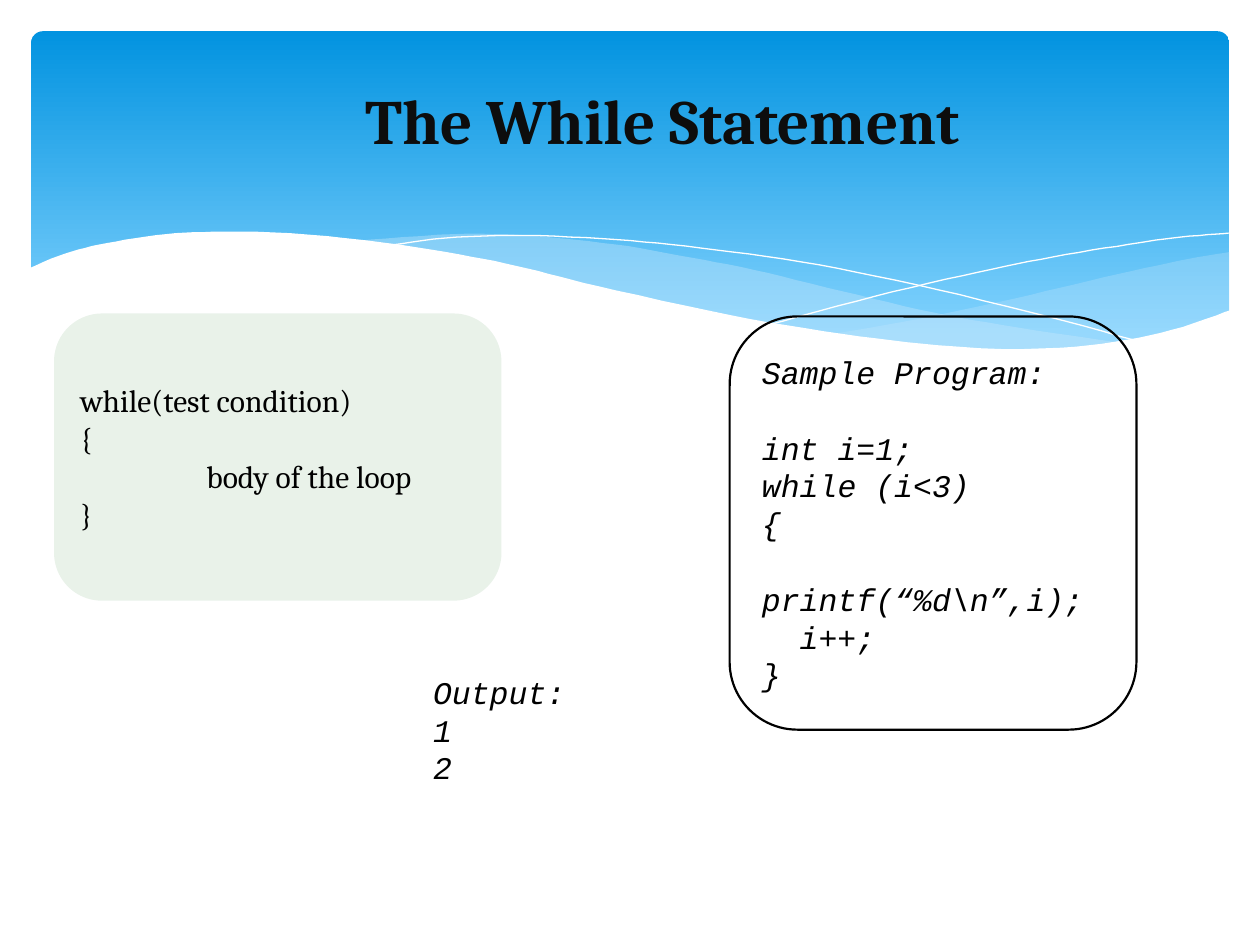
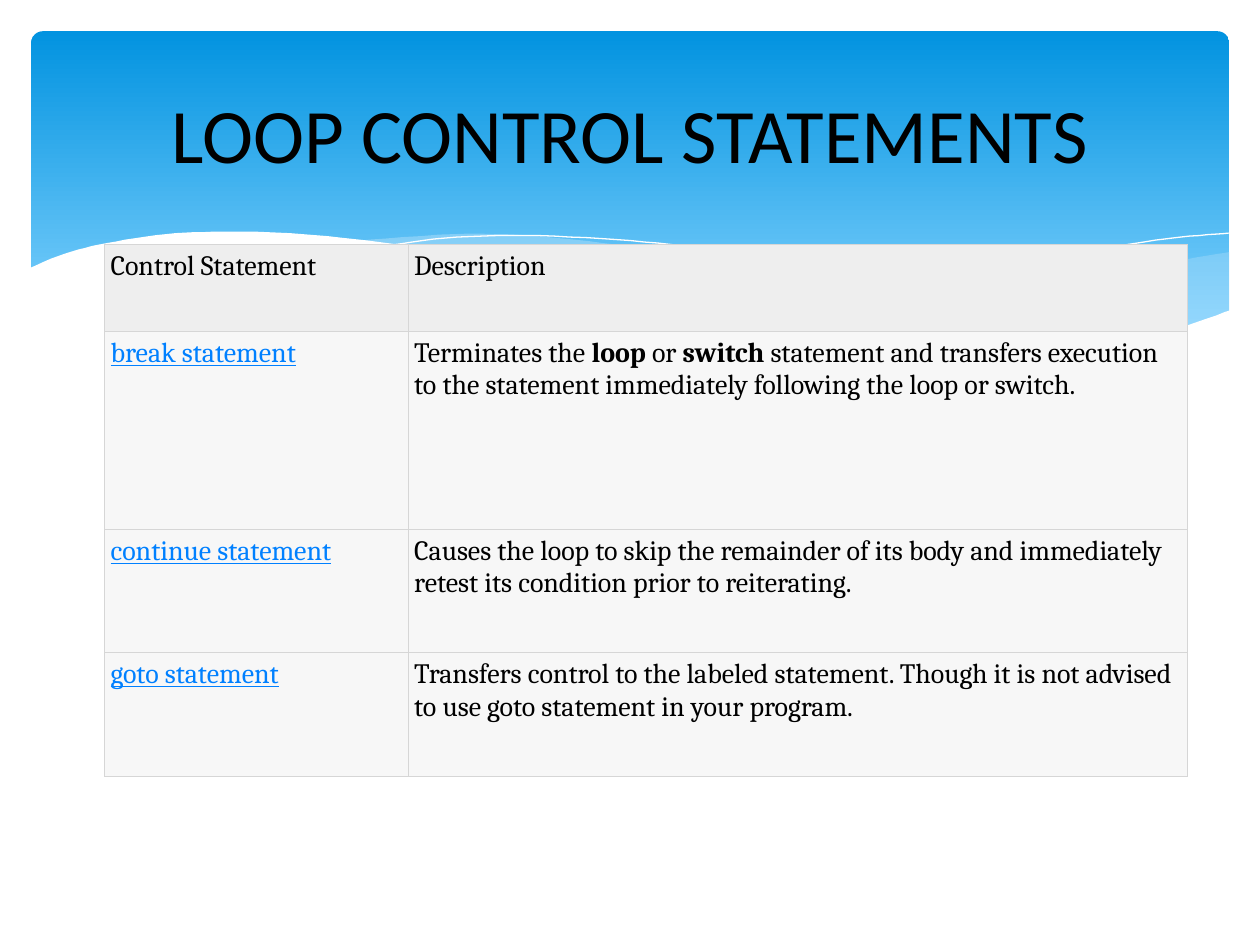
from lxml import etree
from pptx import Presentation
from pptx import util as u
from pptx.dml.color import RGBColor
from pptx.enum import shapes, text
from pptx.oxml.ns import qn

BLACK, WHITE, SKY, PALE = "000000", "FFFFFF", "0293E0", "C6E7FC"
LIGHT_SKY, GREEN, LINK = "83D3FE", "2C8430", "0080FF"
HEADER_FILL, BODY_FILL, BORDER = "EEEEEE", "F7F7F7", "D6D6D6"
SERIF, SANS, MONO = "Cambria", "Calibri", "Courier New"
LINE_HEIGHT = 21.6

# Wave strands are in hundredths of a centimetre.
WAVES = [
    dict(fill=PALE, alpha=29, strands=[
        [(2479, 508), (2375, 526), (2225, 559), (2045, 602), (1852, 643), (1679, 673)],
        [(1679, 673), (1791, 688), (1923, 701), (2040, 706), (2169, 701), (2278, 686),
         (2375, 665), (2479, 627)]]),
    dict(fill=PALE, alpha=40, strands=[
        [(2268, 693), (2050, 660), (1882, 630), (1697, 587), (1519, 544), (1374, 516),
         (1242, 493), (1067, 475), (917, 472), (726, 485)],
        [(726, 485), (869, 505), (1026, 536), (1247, 589), (1438, 630), (1610, 663),
         (1765, 686), (1933, 704), (2103, 706), (2268, 693)]]),
    dict(line=WHITE, strands=[
        [(785, 495), (897, 480), (1057, 475), (1242, 483), (1412, 500), (1615, 528),
         (1847, 574), (2111, 638), (2304, 691)]]),
    dict(line=WHITE, strands=[
        [(1557, 653), (1765, 597), (1971, 549), (2123, 518), (2273, 493), (2380, 478),
         (2477, 470)]]),
    dict(fill=WHITE, strands=[
        [(2482, 625), (2362, 665), (2222, 693), (2055, 704), (1890, 696), (1697, 673),
         (1471, 635), (1206, 577), (1062, 541), (927, 513), (742, 485), (584, 470),
         (450, 467), (335, 472), (216, 490), (132, 511), (58, 541)],
        [(58, 836), (2482, 836)]]),
]

WHILE_TITLE = "The While Statement"
SYNTAX = [("while(test condition)", 0, 0), ("{", 0, 0),
          ("body of the loop", 2.54, 0), ("}", 0, 0)]
PROGRAM = [("Sample Program:", 0, 0), ("int i=1;", 0, LINE_HEIGHT), ("while (i<3)", 0, 0),
           ("{", 0, 0), (r"printf(“%d\n”,i);", 0, LINE_HEIGHT), ("i++;", 0.76, 0), ("}", 0, 0)]
OUTPUT = [("Output:", 0, 0), ("1", 0, 0), ("2", 0, 0)]

CONTROL_TITLE = "LOOP CONTROL STATEMENTS"
CONTROL_ROWS = [
    ("Control Statement", "Description"),
    ("break statement", "Terminates the **loop** or **switch** statement and transfers "
     "execution to the statement immediately following the loop or switch."),
    ("continue statement", "Causes the loop to skip the remainder of its body and "
     "immediately retest its condition prior to reiterating."),
    ("goto statement", "Transfers control to the labeled statement. Though it is not "
     "advised to use goto statement in your program."),
]
COLUMN_WIDTHS = [6.12, 15.7]
ROW_HEIGHTS = [1.75, 3.99, 2.49, 2.49]


def rgb(color):
    return RGBColor.from_string(color)


def box(*lengths):
    return [u.Cm(length) for length in lengths]


def style_run(run, font, size, color=BLACK, bold=False, italic=False, underline=False):
    run.font.name, run.font.size = font, u.Pt(size)
    run.font.color.rgb = rgb(color)
    run.font.bold, run.font.italic, run.font.underline = bold, italic, underline


def paint(shape, fill=None, alpha=100, line=None, width=0):
    shape.shadow.inherit = False
    if fill:
        shape.fill.solid()
        shape.fill.fore_color.rgb = rgb(fill)
        if alpha < 100:
            color = shape.element.find(".//" + qn("a:srgbClr"))
            etree.SubElement(color, qn("a:alpha"), val=str(alpha * 1000))
    else:
        shape.fill.background()
    if line:
        shape.line.color.rgb = rgb(line)
        shape.line.width = u.Pt(width)
    else:
        shape.line.fill.background()


def smooth(points, steps=6):
    padded = [points[0], *points, points[-1]]
    curve = [points[0]]
    for a, b, c, d in zip(padded, padded[1:], padded[2:], padded[3:]):
        for step in range(1, steps + 1):
            t = step / steps
            curve.append(tuple(
                q + t * (r - p) / 2 + t * t * (p - 2.5 * q + 2 * r - s / 2)
                + t ** 3 * (1.5 * (q - r) + (s - p) / 2)
                for p, q, r, s in zip(a, b, c, d)))
    return curve


def add_backdrop(slide, layout):
    band = slide.shapes.add_shape(shapes.MSO_SHAPE.ROUNDED_RECTANGLE,
                                  *box(0.63, 0.63, 24.15, 6.86))
    band.adjustments[0] = 0.034
    paint(band)
    band.fill.gradient()
    band.fill.gradient_angle = 270
    for stop, color, position in zip(band.fill.gradient_stops, (SKY, LIGHT_SKY), (0, 0.9)):
        stop.color.rgb, stop.position = rgb(color), position
    parts = [band]
    for wave in WAVES:
        points = [point for strand in wave["strands"] for point in smooth(strand)]
        builder = slide.shapes.build_freeform(*points[0], scale=u.Cm(0.01))
        builder.add_line_segments(points[1:], close="fill" in wave)
        shape = builder.convert_to_shape()
        paint(shape, wave.get("fill"), wave.get("alpha", 100), wave.get("line"))
        parts.append(shape)
    for index, part in enumerate(parts, start=2):
        layout.shapes.element.insert(index, part.element)


def set_title(slide, wording, place, align, anchor, **style):
    title = slide.shapes.title
    title.left, title.top, title.width, title.height = box(*place)
    frame = title.text_frame
    frame.text = wording
    frame.auto_size, frame.vertical_anchor = text.MSO_AUTO_SIZE.NONE, anchor
    frame.paragraphs[0].alignment = align
    style_run(frame.paragraphs[0].runs[0], **style)


def write_code(shape, lines, anchor, **style):
    frame = shape.text_frame
    frame.word_wrap, frame.vertical_anchor = True, anchor
    frame.text = "\n".join(wording for wording, indent, gap in lines)
    elements = shape.element.findall(".//" + qn("a:p"))
    for paragraph, element, (wording, indent, gap) in zip(frame.paragraphs, elements, lines):
        paragraph.alignment = text.PP_ALIGN.LEFT
        paragraph.line_spacing = u.Pt(LINE_HEIGHT)
        paragraph.space_before = u.Pt(gap)
        element.get_or_add_pPr().set("marL", str(u.Cm(indent)))
        style_run(paragraph.runs[0], size=18, **style)


def add_code_box(slide, place, lines, font, italic=False, **look):
    shape = slide.shapes.add_shape(shapes.MSO_SHAPE.ROUNDED_RECTANGLE, *box(*place))
    paint(shape, **look)
    write_code(shape, lines, text.MSO_ANCHOR.MIDDLE, font=font, italic=italic)


def add_borders(cell_properties):
    for index, side in enumerate(("a:lnL", "a:lnR", "a:lnT", "a:lnB")):
        line = etree.Element(qn(side), w=str(u.Pt(0.75)))
        fill = etree.SubElement(line, qn("a:solidFill"))
        etree.SubElement(fill, qn("a:srgbClr"), val=BORDER)
        cell_properties.insert(index, line)


def add_control_table(slide):
    graphic = slide.shapes.add_table(
        len(CONTROL_ROWS), len(COLUMN_WIDTHS),
        *box(2.11, 4.93, sum(COLUMN_WIDTHS), sum(ROW_HEIGHTS)))
    table = graphic.table
    table.first_row = table.horz_banding = False
    for column, width in zip(table.columns, COLUMN_WIDTHS):
        column.width = u.Cm(width)
    for r, (row, height) in enumerate(zip(CONTROL_ROWS, ROW_HEIGHTS)):
        table.rows[r].height = u.Cm(height)
        for c, wording in enumerate(row):
            cell = table.cell(r, c)
            cell.margin_left = cell.margin_right = u.Cm(0.12)
            cell.margin_top = cell.margin_bottom = u.Cm(0.12)
            cell.fill.solid()
            cell.fill.fore_color.rgb = rgb(BODY_FILL if r else HEADER_FILL)
            is_link = r > 0 and c == 0
            for index, part in enumerate(wording.split("**")):
                run = cell.text_frame.paragraphs[0].add_run()
                run.text = part
                style_run(run, SERIF, 16, LINK if is_link else BLACK,
                          bold=index % 2 == 1, underline=is_link)
    for cell_properties in graphic.element.iter(qn("a:tcPr")):
        add_borders(cell_properties)


def build_while_slide(slide):
    set_title(slide, WHILE_TITLE, (7.11, 1.52, 12.83, 3.33), text.PP_ALIGN.LEFT,
              text.MSO_ANCHOR.TOP, font=SERIF, size=36, color="0D0D0D", bold=True)
    add_code_box(slide, (1.09, 6.32, 9.02, 5.79), SYNTAX, SERIF, fill=GREEN, alpha=10)
    add_code_box(slide, (14.71, 6.38, 8.2, 8.33), PROGRAM, MONO, italic=True,
                 line=BLACK, width=1.25)
    output = slide.shapes.add_textbox(*box(8.48, 13.44, 3.23, 2.57))
    write_code(output, OUTPUT, text.MSO_ANCHOR.TOP, font=MONO, italic=True)


def build_control_slide(slide):
    set_title(slide, CONTROL_TITLE, (1.27, 0.94, 22.86, 3.48), text.PP_ALIGN.CENTER,
              text.MSO_ANCHOR.MIDDLE, font=SANS, size=44)
    add_control_table(slide)


def main():
    presentation = Presentation()
    presentation.slide_width, presentation.slide_height = box(25.4, 19.05)
    layout = presentation.slide_layouts[5]
    while_slide, control_slide = (presentation.slides.add_slide(layout) for _ in range(2))
    add_backdrop(while_slide, layout)
    build_while_slide(while_slide)
    build_control_slide(control_slide)
    presentation.save("out.pptx")


if __name__ == "__main__":
    main()
